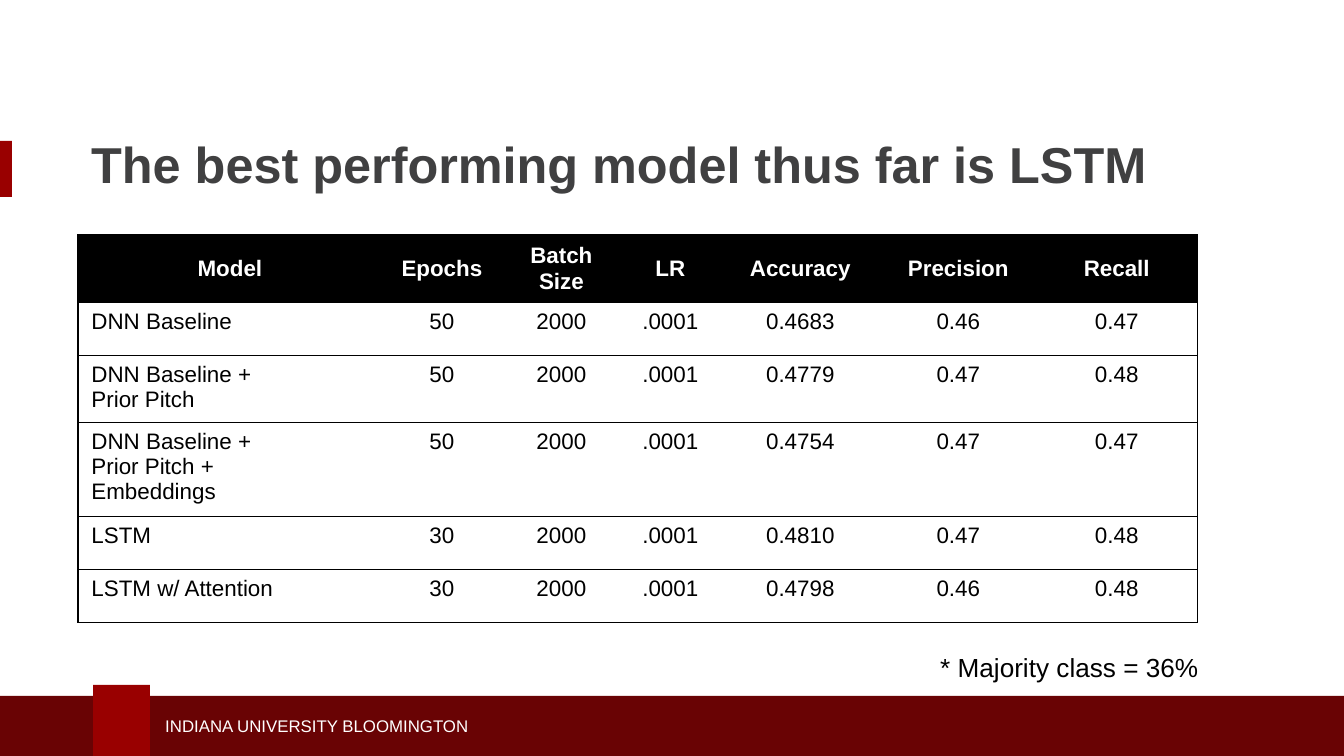
from lxml.etree import SubElement
from pptx import Presentation
from pptx.dml.color import RGBColor
from pptx.enum.shapes import MSO_SHAPE
from pptx.enum.text import MSO_ANCHOR, PP_ALIGN
from pptx.oxml.ns import qn
from pptx.util import Pt

# Content
TITLE = "The best performing model thus far is LSTM"
FOOTER = "INDIANA UNIVERSITY BLOOMINGTON"
NOTE = "* Majority class = 36%"
HEADER = ["Model", "Epochs", "Batch Size", "LR", "Accuracy", "Precision", "Recall"]
RESULTS = [
    ["DNN Baseline", "50", "2000", ".0001", "0.4683", "0.46", "0.47"],
    ["DNN Baseline +\nPrior Pitch", "50", "2000", ".0001", "0.4779", "0.47", "0.48"],
    ["DNN Baseline +\nPrior Pitch +\nEmbeddings", "50", "2000", ".0001", "0.4754", "0.47", "0.47"],
    ["LSTM", "30", "2000", ".0001", "0.4810", "0.47", "0.48"],
    ["LSTM w/ Attention", "30", "2000", ".0001", "0.4798", "0.46", "0.48"],
]

# Layout in px
WIDTH, HEIGHT = 1344, 756
COLUMNS = [304, 120, 119, 99, 161, 155, 162]
ROWS = [65, 53, 64, 88, 53, 53]
RULED_ROWS = {0, 1, 3, 5}  # rows with a line on top
BLOCKS = [  # left, top, width, height

    (0, 141, 12, 56),
    (0, 696, WIDTH, 60),
    (93, 685, 57, 71),
]

FONT = "Arial"
NO_GRID_STYLE = "{2D5ABB26-0587-4C30-8999-92F81FD0307C}"
CRIMSON = RGBColor(0x99, 0x00, 0x00)
MAROON = RGBColor(0x69, 0x03, 0x04)
GRAY = RGBColor(0x40, 0x40, 0x41)
BLACK = RGBColor(0x00, 0x00, 0x00)
WHITE = RGBColor(0xFF, 0xFF, 0xFF)


def px(length):
    return round(length * 914400 / 134.4)


def write(frame, text, size, color, bold=False, align=PP_ALIGN.LEFT):
    for index, line in enumerate(text.split("\n")):
        para = frame.add_paragraph() if index else frame.paragraphs[0]
        para.alignment = align
        span = para.add_run()
        span.text = line
        span.font.name = FONT
        span.font.size = Pt(size)
        span.font.bold = bold
        span.font.color.rgb = color


def add_text(page, area, text, size, color, bold=False, anchor=MSO_ANCHOR.MIDDLE):
    frame = page.shapes.add_textbox(*map(px, area)).text_frame
    frame.word_wrap = True
    frame.vertical_anchor = anchor
    write(frame, text, size, color, bold)
    return frame


def add_border(cell, side):
    line = SubElement(cell._tc.get_or_add_tcPr(), qn("a:ln" + side), w=str(Pt(0.75)))
    fill = SubElement(line, qn("a:solidFill"))
    SubElement(fill, qn("a:srgbClr"), val=str(BLACK))


def add_results(page, left, top):
    rows = [HEADER] + RESULTS
    frame = page.shapes.add_table(len(rows), len(COLUMNS), px(left), px(top),
                                  px(sum(COLUMNS)), px(sum(ROWS)))
    table = frame.table
    table.first_row = table.horz_banding = False
    table._tbl.tblPr.find(qn("a:tableStyleId")).text = NO_GRID_STYLE
    for column, width in zip(table.columns, COLUMNS):
        column.width = px(width)
    for row, height in zip(table.rows, ROWS):
        row.height = px(height)

    last_row, last_column = len(ROWS) - 1, len(COLUMNS) - 1
    for r, values in enumerate(rows):
        is_header = r == 0
        for c, value in enumerate(values):
            cell = table.cell(r, c)
            # Borders come before the fill in the cell properties
            borders = {
                "L": c == 0,
                "R": c == last_column,
                "T": r in RULED_ROWS,
                "B": r == last_row or r + 1 in RULED_ROWS,
            }
            for side, shown in borders.items():
                if shown:
                    add_border(cell, side)
            cell.fill.solid()
            cell.fill.fore_color.rgb = BLACK if is_header else WHITE
            cell.vertical_anchor = MSO_ANCHOR.MIDDLE if is_header else MSO_ANCHOR.TOP
            align = PP_ALIGN.CENTER if is_header or c else PP_ALIGN.LEFT
            write(cell.text_frame, value, 12, WHITE if is_header else BLACK,
                  is_header, align)


def main():
    deck = Presentation()
    deck.slide_width, deck.slide_height = px(WIDTH), px(HEIGHT)
    page = deck.slides.add_slide(deck.slide_layouts[6])

    # Title marker, footer band and footer tab
    for area, color in zip(BLOCKS, (CRIMSON, MAROON, CRIMSON)):
        block = page.shapes.add_shape(MSO_SHAPE.RECTANGLE, *map(px, area))
        block.shadow.inherit = False
        block.fill.solid()
        block.fill.fore_color.rgb = color
        block.line.fill.background()
    add_text(page, (152, 709, 531, 34), FOOTER, 9, WHITE)

    # Title and results
    add_text(page, (78, 112, 1176, 102), TITLE, 27, GRAY, bold=True)
    add_results(page, 78, 235)

    # Note under the table
    note = add_text(page, (860, 638, 398, 59), NOTE, 14, BLACK, anchor=MSO_ANCHOR.TOP)
    note.margin_top = note.margin_bottom = px(13)
    note.paragraphs[0]._p.get_or_add_pPr().set("marL", str(px(67)))

    deck.save("out.pptx")


if __name__ == "__main__":
    main()
